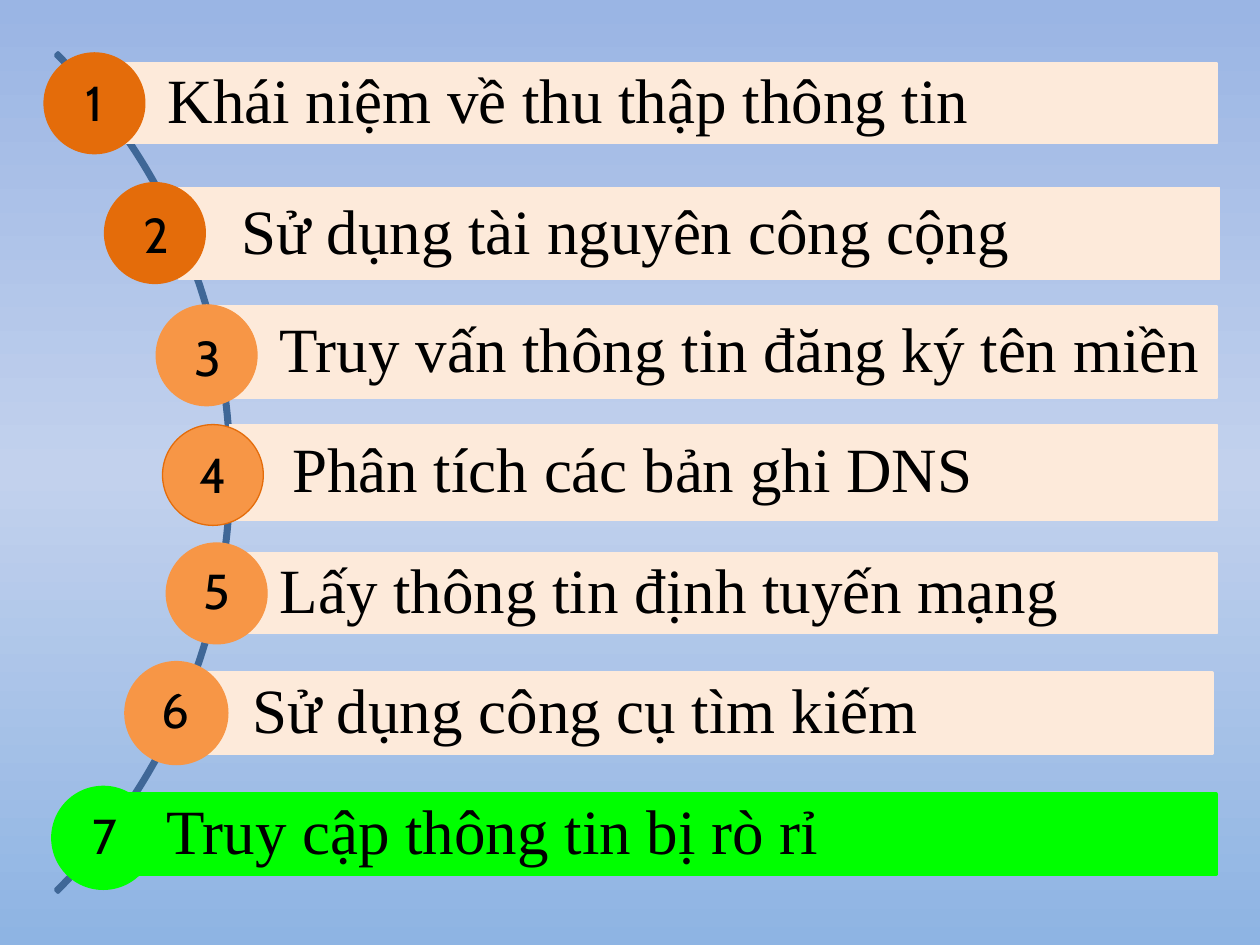
from copy import deepcopy

from pptx import Presentation
from pptx.dml.color import RGBColor
from pptx.enum import shapes, text
from pptx.oxml.ns import qn
from pptx.util import Inches, Pt

# Content: label, bar (left, top, right, height), circle (left, top),
# number centre (x, y), style name
TOPICS = [
    ("Khái niệm về thu thập thông tin", (0.83, 0.5, 9.66, 0.64), (0.35, 0.42), (0.75, 0.81), "done"),
    ("Sử dụng tài nguyên công cộng", (1.42, 1.49, 9.68, 0.73), (0.83, 1.45), (1.24, 1.86), "done"),
    ("Truy vấn thông tin đăng ký tên miền", (1.72, 2.43, 9.66, 0.73), (1.24, 2.42), (1.65, 2.83), "plain"),
    ("Phân tích các bản ghi DNS", (1.82, 3.37, 9.66, 0.76), (1.29, 3.37), (1.69, 3.76), "outlined"),
    ("Lấy thông tin định tuyến mạng", (1.72, 4.39, 9.66, 0.64), (1.32, 4.31), (1.72, 4.68), "plain"),
    ("Sử dụng công cụ tìm kiếm", (1.5, 5.34, 9.62, 0.64), (1, 5.26), (1.39, 5.63), "bold"),
    ("Truy cập thông tin bị rò rỉ", (0.82, 6.3, 9.65, 0.64), (0.42, 6.25), (0.83, 6.63), "current"),
]

THEME = {
    "background": [(0, "9AB5E4"), (0.5, "C2D1ED"), (1, "8EB4E3")],
    "arc": "3F6797",
    "ink": "000000",
    "label": ("Times New Roman", 36),
    "number": ("Cabin", 28),
    # bar colour, circle fill, circle line, line width
    "styles": {
        "done": ("FDEADA", "E46C0A", "E46C0A", 0.75),
        "plain": ("FDEADA", "F79646", "F79646", 0.75),
        "outlined": ("FDEADA", "F79646", "E46C0A", 0.75),
        "bold": ("FDEADA", "F79646", "F79646", 2),
        "current": ("00FF00", "00FF00", "00FF00", 2),
    },
}
CIRCLE = 0.8
NUMBER_BOX = 0.7


def rgb(value):
    return RGBColor.from_string(value)


def paint_background(page, stops):
    fill = page.background.fill
    fill.gradient()
    fill.gradient_angle = 270
    stop_list = page.element.find(".//" + qn("a:gsLst"))
    stop_list.append(deepcopy(stop_list[0]))
    for stop, (position, color) in zip(fill.gradient_stops, stops):
        stop.position = position
        stop.color.rgb = rgb(color)


def add_shape(page, kind, frame, fill, line, width):
    shape = page.shapes.add_shape(kind, *map(Inches, frame))
    shape.shadow.inherit = False
    if fill:
        shape.fill.solid()
        shape.fill.fore_color.rgb = rgb(fill)
    else:
        shape.fill.background()
    shape.line.color.rgb = rgb(line)
    shape.line.width = Pt(width)
    return shape


def write(shape, content, *, font, align, margins=(0.1, 0.05, 0.1, 0.05), spacing=1.0):
    box = shape.text_frame
    box.word_wrap = True
    box.vertical_anchor = text.MSO_ANCHOR.MIDDLE
    box.margin_left, box.margin_top, box.margin_right, box.margin_bottom = map(Inches, margins)
    para = box.paragraphs[0]
    para.alignment = align
    para.line_spacing = spacing
    span = para.add_run()
    span.text = content
    span.font.name, size = font
    span.font.size = Pt(size)
    span.font.color.rgb = rgb(THEME["ink"])


deck = Presentation()
deck.slide_width, deck.slide_height = Inches(10), Inches(7.5)
page = deck.slides.add_slide(deck.slide_layouts[6])
paint_background(page, THEME["background"])

# Thin arc from -45 to 45 degrees behind the list
arc = add_shape(page, shapes.MSO_SHAPE.BLOCK_ARC, (-7.58, -0.96, 9.42, 9.42), None, THEME["arc"], 2)
for index, value in enumerate((189, 27, 0.003)):
    arc.adjustments[index] = value

# Bars with their circles
for label, (left, top, right, height), corner, _, style in TOPICS:
    bar_color, fill, line, width = THEME["styles"][style]
    bar = add_shape(page, shapes.MSO_SHAPE.RECTANGLE, (left, top, right - left, height),
                    bar_color, bar_color, width)
    write(bar, label, font=THEME["label"], align=text.PP_ALIGN.LEFT,
          margins=(0.5, 0.1, 0.1, 0.1), spacing=0.9)
    add_shape(page, shapes.MSO_SHAPE.OVAL, (*corner, CIRCLE, CIRCLE), fill, line, width)

# Numbers on the circles
for number, (_, _, _, (x, y), _) in enumerate(TOPICS, start=1):
    frame = (x - NUMBER_BOX / 2, y - NUMBER_BOX / 2, NUMBER_BOX, NUMBER_BOX)
    box = page.shapes.add_textbox(*map(Inches, frame))
    write(box, str(number), font=THEME["number"], align=text.PP_ALIGN.CENTER)

deck.save("out.pptx")
